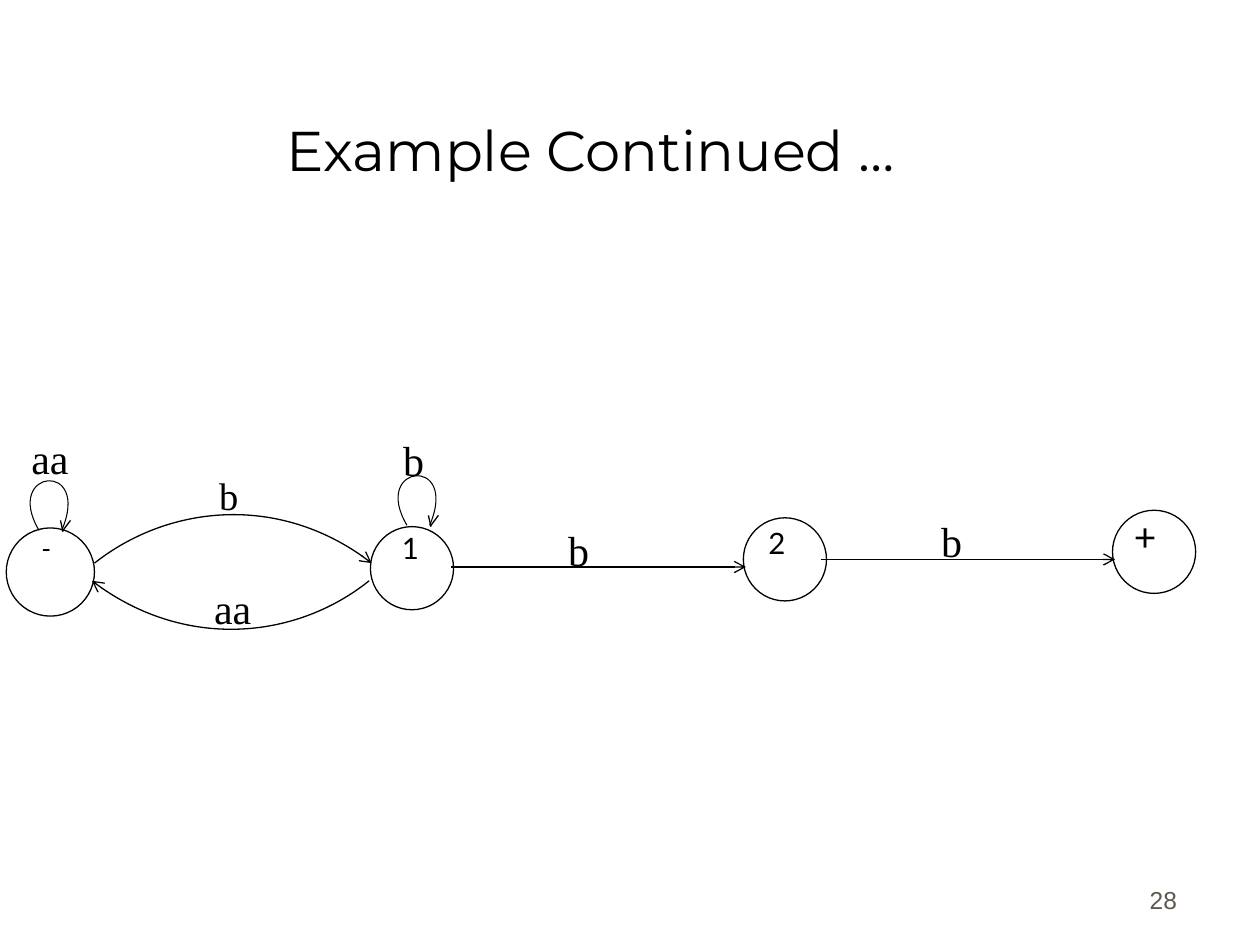
from dataclasses import dataclass

import pptx
import pptx.dml.color
import pptx.enum.shapes
import pptx.enum.text
import pptx.oxml
import pptx.oxml.ns
import pptx.util
from pptx.shapes.base import BaseShape
from pptx.slide import Slide

COLUMNS, ROWS = 100, 75
SLIDE_WIDTH, SLIDE_HEIGHT = pptx.util.Inches(10), pptx.util.Inches(7.5)
COLORS = {"ink": "000000", "paper": "FFFFFF", "number": "5E574E"}
ALIGN = pptx.enum.text.PP_ALIGN
ANCHOR = pptx.enum.text.MSO_ANCHOR
Point = tuple[float, float]


@dataclass
class Label:
    text: str
    column: float
    row: float
    width: float = 10.9
    height: float = 5.2
    size: float = 24
    font: str = "Times New Roman"
    color: str = "ink"
    align: ALIGN = ALIGN.LEFT
    anchor: ANCHOR = ANCHOR.TOP
    line_spacing: float = 1.0
    space_before: float = 0


@dataclass
class State:
    column: float
    row: float
    diameter: float
    name: Label


def state_name(text: str, column: float, row: float, size: float,
               width: float = 4.1, height: float = 4, spacing: float = 0.8) -> Label:
    return Label(text, column, row, width, height, size, "Lato", line_spacing=spacing)


STATES = [
    State(0.5, 41.9, 7, state_name("-", 2.3, 42.2, 15.2)),
    State(29.4, 41.8, 6.6, state_name("1", 30.9, 42.1, 16.8)),
    State(59, 41.1, 6.6, state_name("2", 60, 41.7, 16.8)),
    State(88.3, 40.5, 6.6, state_name("+", 89, 40.6, 22.2, 5.8, 4.8, 0.9)),
]
ARCS = [
    [(7.5, 44.7), (13.2, 40.2), (22.3, 39.1), (29.5, 44.7)],
    [(29.3, 46.1), (23.7, 50.6), (14.6, 51.7), (7.3, 46.1)],
]
ARROWS = [((35.8, 45), (59.2, 45)), ((65.2, 44.4), (88.5, 44.4))]

# Self-loop outline and the two strokes of its head, relative to the loop's start
LOOP = [(0, 0), (-2.9, -4.9), (4.2, -5.6), (1.8, 0)]
LOOP_HEAD = [[(1.9, 0), (2.5, -0.8)], [(1.7, -0.8), (1.9, 0.1)]]
LOOP_STARTS = [(3.1, 42.1), (32.3, 41.7)]

LABELS = [
    Label("28", 73.6, 68.1, 20.8, 5, 14, "Arial", "number",
          ALIGN.RIGHT, ANCHOR.BOTTOM, space_before=8.8),
    Label("Example Continued …", 4.4, 2.5, 85, 12.5, 32, "Montserrat",
          align=ALIGN.CENTER, anchor=ANCHOR.BOTTOM),
    Label("aa", 16, 45.7),
    Label("b", 16.4, 37, 10.1, 4.9, 22),
    Label("b", 31, 34),
    Label("aa", 1.5, 33.8),
    Label("b", 44.1, 41.1),
    Label("b", 73.7, 40.4),
]


def x(columns: float) -> int:
    return round(SLIDE_WIDTH * columns / COLUMNS)


def y(rows: float) -> int:
    return round(SLIDE_HEIGHT * rows / ROWS)


def rgb(name: str) -> pptx.dml.color.RGBColor:
    return pptx.dml.color.RGBColor.from_string(COLORS[name])


def style_line(shape: BaseShape, width: float = 0.75, arrow: bool = False) -> None:
    shape.line.color.rgb = rgb("ink")
    shape.line.width = pptx.util.Pt(width)
    if arrow:
        tail = pptx.oxml.parse_xml(
            f'<a:tailEnd {pptx.oxml.ns.nsdecls("a")} type="arrow"/>')
        shape.line._get_or_add_ln().append(tail)


def add_label(page: Slide, label: Label) -> None:
    box = page.shapes.add_textbox(x(label.column), y(label.row),
                                  x(label.width), y(label.height))
    frame = box.text_frame
    frame.word_wrap = True
    frame.vertical_anchor = label.anchor
    frame.text = label.text
    para = frame.paragraphs[0]
    para.alignment = label.align
    para.line_spacing = label.line_spacing
    para.space_before = pptx.util.Pt(label.space_before)
    span = para.runs[0]
    span.font.name = label.font
    span.font.size = pptx.util.Pt(label.size)
    span.font.color.rgb = rgb(label.color)


def add_state(page: Slide, state: State) -> None:
    circle = page.shapes.add_shape(
        pptx.enum.shapes.MSO_SHAPE.OVAL, x(state.column), y(state.row),
        x(state.diameter), y(state.diameter))
    circle.shadow.inherit = False
    circle.fill.solid()
    circle.fill.fore_color.rgb = rgb("paper")
    style_line(circle)


def add_stroke(page: Slide, points: list[Point], width: float = 0.75,
               arrow: bool = False) -> None:
    """Draw two points as a straight stroke, four as a cubic Bézier curve."""
    start, *rest = [(x(column), y(row)) for column, row in points]
    builder = page.shapes.build_freeform(*start)
    builder.add_line_segments(rest, close=False)
    stroke = builder.convert_to_shape()
    stroke.shadow.inherit = False
    stroke.fill.background()
    style_line(stroke, width, arrow)
    if len(points) == 4:
        segments = stroke._element.findall(".//" + pptx.oxml.ns.qn("a:lnTo"))
        curve = pptx.oxml.parse_xml(f'<a:cubicBezTo {pptx.oxml.ns.nsdecls("a")}/>')
        segments[0].addprevious(curve)
        for segment in segments:
            curve.append(segment[0])
            segment.getparent().remove(segment)


def add_loop(page: Slide, start: Point) -> None:
    def placed(points: list[Point]) -> list[Point]:
        return [(start[0] + column, start[1] + row) for column, row in points]

    add_stroke(page, placed(LOOP), 0.6)
    for head in LOOP_HEAD:
        add_stroke(page, placed(head))


def add_arrow(page: Slide, start: Point, end: Point) -> None:
    arrow = page.shapes.add_connector(
        pptx.enum.shapes.MSO_CONNECTOR.STRAIGHT,
        x(start[0]), y(start[1]), x(end[0]), y(end[1]))
    style_line(arrow, arrow=True)
    arrow._element.spPr.append(
        pptx.oxml.parse_xml(f'<a:effectLst {pptx.oxml.ns.nsdecls("a")}/>'))


def main() -> None:
    deck = pptx.Presentation()
    deck.slide_width, deck.slide_height = SLIDE_WIDTH, SLIDE_HEIGHT
    page = deck.slides.add_slide(deck.slide_layouts[6])
    for state in STATES:
        add_state(page, state)
    for arc in ARCS:
        add_stroke(page, arc, arrow=True)
    for start in LOOP_STARTS:
        add_loop(page, start)
    for start, end in ARROWS:
        add_arrow(page, start, end)
    for label in LABELS + [state.name for state in STATES]:
        add_label(page, label)
    deck.save("out.pptx")


if __name__ == "__main__":
    main()
